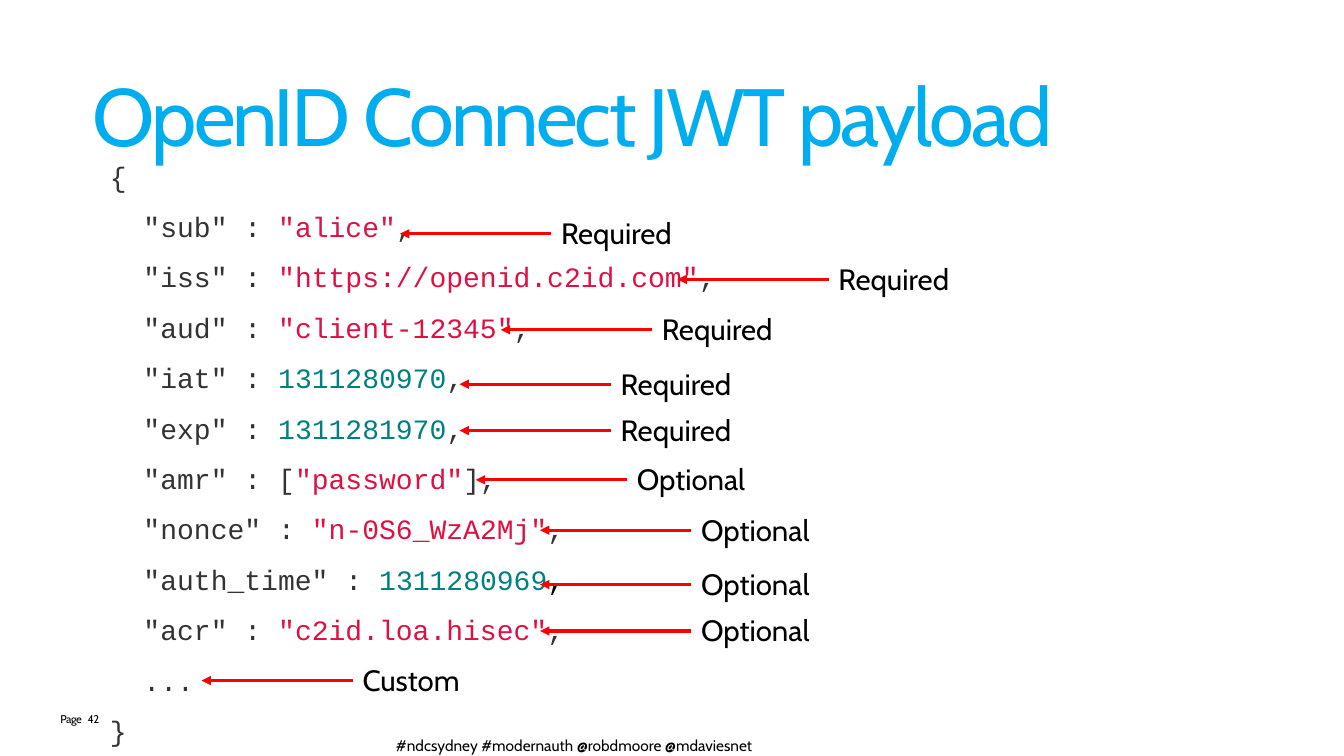
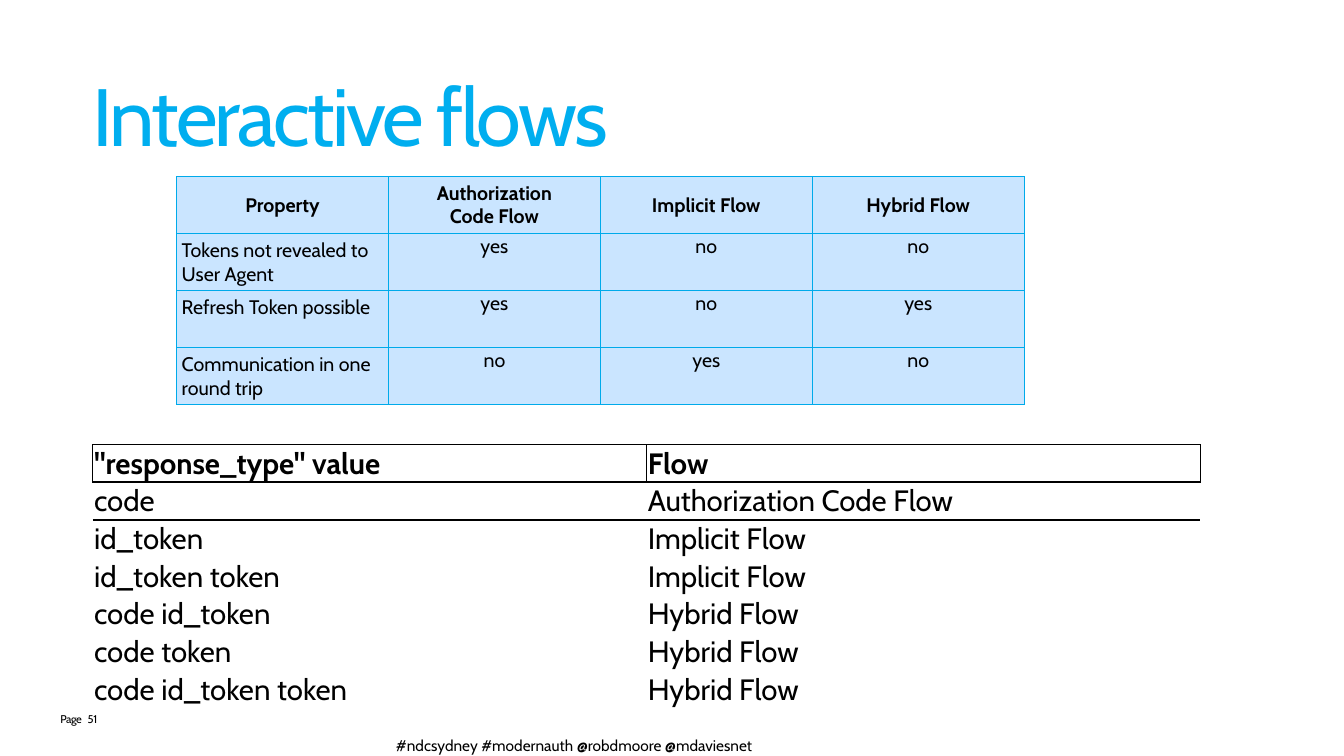
from dataclasses import dataclass

from lxml import etree
from pptx import Presentation
from pptx.dml.color import RGBColor
from pptx.enum.shapes import MSO_CONNECTOR
from pptx.enum.text import MSO_ANCHOR, PP_ALIGN
from pptx.oxml.ns import qn
from pptx.util import Cm, Pt

STRAIGHT = MSO_CONNECTOR.STRAIGHT
TOP, MIDDLE, BOTTOM = MSO_ANCHOR.TOP, MSO_ANCHOR.MIDDLE, MSO_ANCHOR.BOTTOM
LEFT, CENTER = PP_ALIGN.LEFT, PP_ALIGN.CENTER
PLAIN_GRID = "{2D5ABB26-0587-4C30-8999-92F81FD0307C}"


@dataclass(frozen=True)
class Theme:
    font: str = "Cabin"
    mono: str = "Courier New"
    black: str = "000000"
    white: str = "FFFFFF"
    blue: str = "00AEEF"
    grid: str = "00AAEA"
    pale: str = "CAE5FF"
    gray: str = "333333"
    crimson: str = "DD1144"
    teal: str = "008080"
    red: str = "FF0000"
    title: float = 58
    label: float = 21
    code: float = 20
    cell: float = 14
    foot: float = 11
    page: float = 8


THEME = Theme()

FOOTER = "#ndcsydney #modernauth @robdmoore @mdaviesnet"

# Code line: key, value, ending
PAYLOAD = [
    ("{", "", ""),
    ('  "sub" : ', '"alice"', ","),
    ('  "iss" : ', '"https://openid.c2id.com"', ","),
    ('  "aud" : ', '"client-12345"', ","),
    ('  "iat" : ', "1311280970", ","),
    ('  "exp" : ', "1311281970", ","),
    ('  "amr" : [', '"password"', "],"),
    ('  "nonce" : ', '"n-0S6_WzA2Mj"', ","),
    ('  "auth_time" : ', "1311280969", ","),
    ('  "acr" : ', '"c2id.loa.hisec"', ","),
    ("  ...", "", ""),
    ("}", "", ""),
]
BLACK_END = 8

# Label, then the arrow tip in cm
NOTES = [
    ("Required", 10.08, 5.89),
    ("Required", 17.07, 7.04),
    ("Required", 12.62, 8.31),
    ("Required", 11.58, 9.68),
    ("Required", 11.58, 10.85),
    ("Optional", 11.99, 12.09),
    ("Optional", 13.61, 13.36),
    ("Optional", 13.61, 14.73),
    ("Optional", 13.61, 15.9),
    ("Custom", 5.08, 17.15),
]

TRAITS = [
    ("Property", "Authorization\nCode Flow", "Implicit Flow", "Hybrid Flow"),
    ("Tokens not revealed to User Agent", "yes", "no", "no"),
    ("Refresh Token possible", "yes", "no", "yes"),
    ("Communication in one round trip", "no", "yes", "no"),
]

FLOWS = [
    ('"response_type" value', "Flow"),
    ("code", "Authorization Code Flow"),
    ("id_token", "Implicit Flow"),
    ("id_token token", "Implicit Flow"),
    ("code id_token", "Hybrid Flow"),
    ("code token", "Hybrid Flow"),
    ("code id_token token", "Hybrid Flow"),
]


def style(run, size, color=THEME.black, font=THEME.font, bold=False, gap=0):
    """Format a run; gap is the letter spacing in points."""
    run.font.name = font
    run.font.size = Pt(size)
    run.font.bold = bold
    run.font.color.rgb = RGBColor.from_string(color)
    if gap:
        run._r.get_or_add_rPr().set("spc", str(round(gap * 100)))


def add_box(shapes, x, y, w, h, inset=0.0):
    frame = shapes.add_textbox(Cm(x), Cm(y), Cm(w), Cm(h)).text_frame
    frame.word_wrap = True
    frame.margin_left = frame.margin_right = Cm(inset)
    frame.margin_top = frame.margin_bottom = Cm(inset / 2)
    return frame


def add_text(shapes, text, place, size, inset=0.0, **look):
    frame = add_box(shapes, *place, inset)
    frame.text = text
    style(frame.paragraphs[0].runs[0], size, **look)
    return frame


def add_slide(deck, title, page):
    """Add a slide with the shared title, page number and footer."""
    shapes = deck.slides.add_slide(deck.slide_layouts[6]).shapes
    add_text(shapes, "Page", (1.52, 17.96, 0.76, 0.86), THEME.page, gap=-0.3)
    add_text(shapes, str(page), (2.21, 17.96, 0.61, 0.86), THEME.page, gap=-0.3)
    add_text(shapes, FOOTER, (9.73, 18.42, 9.98, 0.74), THEME.foot, 0.25)
    frame = add_text(shapes, title, (2.34, 0.91, 27.91, 3.18), THEME.title,
                     color=THEME.blue, gap=-2)
    frame.vertical_anchor = BOTTOM
    frame.paragraphs[0].line_spacing = Pt(50)
    return shapes


def add_code(shapes):
    frame = add_box(shapes, 2.77, 4.01, 27.91, 12.57)
    for i, (key, value, end) in enumerate(PAYLOAD):
        para = frame.add_paragraph() if i else frame.paragraphs[0]
        para.line_spacing = Pt(24)
        if i:
            para.space_before = Pt(12)
        tint = THEME.teal if value.isdigit() else THEME.crimson
        last = THEME.black if i == BLACK_END else THEME.gray
        for text, color in ((key, THEME.gray), (value, tint), (end, last)):
            if text:
                run = para.add_run()
                run.text = text
                style(run, THEME.code, color, THEME.mono)


def add_note(shapes, label, x, y):
    """Add an arrow that points left to x, y with its label behind it."""
    group = shapes.add_group_shape().shapes
    start = x + 3.81
    arrow = group.add_connector(STRAIGHT, Cm(start), Cm(y), Cm(x), Cm(y))
    arrow.line.color.rgb = RGBColor.from_string(THEME.red)
    arrow.line.width = Pt(2.25)
    head = etree.SubElement(arrow.line._get_or_add_ln(), qn("a:tailEnd"))
    head.set("type", "triangle")
    etree.SubElement(arrow._element.spPr, qn("a:effectLst"))
    add_text(group, label, (start, y - 0.59, 3.45, 1.14), THEME.label, 0.25)


def add_edge(cell, side, color, width):
    edge = etree.SubElement(cell._tc.get_or_add_tcPr(), qn("a:ln" + side))
    edge.set("w", str(Pt(width)))
    fill = etree.SubElement(edge, qn("a:solidFill"))
    etree.SubElement(fill, qn("a:srgbClr")).set("val", color)


def set_cell(cell, text, size, bold, fill, edges,
             inset=0.03, align=LEFT, anchor=TOP):
    """Fill a cell; edges maps a side to its colour and width."""
    for side, (color, width) in edges.items():
        add_edge(cell, side, color, width)
    cell.fill.solid()
    cell.fill.fore_color.rgb = RGBColor.from_string(fill)
    cell.margin_left = cell.margin_right = Cm(inset)
    cell.margin_top = cell.margin_bottom = Cm(inset)
    cell.vertical_anchor = anchor
    cell.text_frame.text = text
    for para in cell.text_frame.paragraphs:
        para.alignment = align
        style(para.runs[0], size, bold=bold)


def add_grid(shapes, rows, x, y, w, h):
    """Add an unstyled table; yield row, column, cell and text."""
    place = Cm(x), Cm(y), Cm(w), Cm(h)
    table = shapes.add_table(len(rows), len(rows[0]), *place).table
    table.first_row = table.horz_banding = False
    table._tbl.tblPr.find(qn("a:tableStyleId")).text = PLAIN_GRID
    for r, row in enumerate(rows):
        for c, text in enumerate(row):
            yield r, c, table.cell(r, c), text


def add_flows(shapes):
    thin, thick = (THEME.black, 0.75), (THEME.black, 1.13)
    edges = [{"L": thin, "R": thin, "T": thin, "B": thick}, {"T": thick}]
    for r, _, cell, text in add_grid(shapes, FLOWS, 2.34, 11.2, 27.91, 6.6):
        lines = edges[r] if r < len(edges) else {}
        set_cell(cell, text, THEME.label, r == 0, THEME.white, lines)


def add_traits(shapes):
    edges = dict.fromkeys("LRTB", (THEME.grid, 0.75))
    for r, c, cell, text in add_grid(shapes, TRAITS, 4.45, 4.45, 21.36, 5.72):
        name = r > 0 and c == 0
        set_cell(cell, text, THEME.cell, r == 0, THEME.pale, edges,
                 inset=0.13 if name else 0.03,
                 align=LEFT if name else CENTER,
                 anchor=TOP if r else MIDDLE)


def main():
    deck = Presentation()
    deck.slide_width, deck.slide_height = Cm(33.87), Cm(19.05)

    shapes = add_slide(deck, "OpenID Connect JWT payload", 42)
    add_code(shapes)
    for note in NOTES:
        add_note(shapes, *note)

    shapes = add_slide(deck, "Interactive flows", 51)
    add_flows(shapes)
    add_traits(shapes)

    deck.save("out.pptx")


if __name__ == "__main__":
    main()
